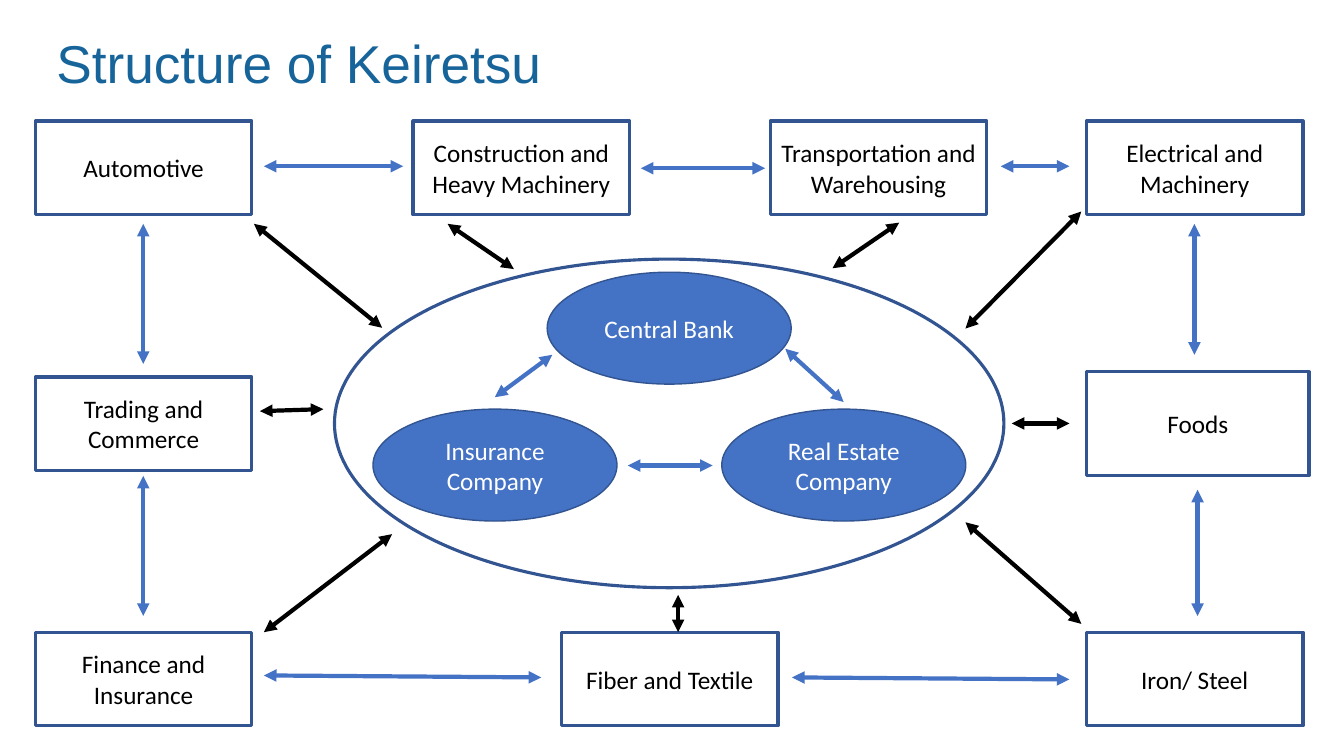
from typing import NamedTuple

from lxml import etree
from pptx import Presentation
from pptx import util as u
from pptx.dml.color import RGBColor
from pptx.enum import shapes, text
from pptx.oxml import ns

EDGE, BLUE, BLACK, WHITE, TEAL = "325491", "4472C4", "000000", "FFFFFF", "16649A"
RECT, OVAL = shapes.MSO_SHAPE.RECTANGLE, shapes.MSO_SHAPE.OVAL
LEFT, CONS, MID, TRANS, RIGHT = 0.89, 10.41, 14.15, 19.41, 27.38
TOP, HALF, LOW = 3.05, 9.5, 15.93


class Node(NamedTuple):
    label: str
    x: float
    y: float
    w: float = 5.46
    h: float = 2.36
    kind: int = RECT
    fill: str = ""
    ink: str = BLACK
    line: float = 2.25


class Link(NamedTuple):
    x1: float
    y1: float
    x2: float
    y2: float
    color: str = BLUE


def core(label: str, x: float, y: float) -> Node:
    return Node(label, x, y, 6.15, 2.82, OVAL, BLUE, WHITE, 1)


CORE = [
    core("Central Bank", 13.79, 6.86),
    core("Real Estate Company", 18.19, 10.31),
    core("Insurance Company", 9.4, 10.31),
    Node("", 8.43, 6.53, 16.87, 8.28, OVAL),
]

FIRMS = [
    Node("Electrical and Machinery", RIGHT, TOP),
    Node("Foods", RIGHT, 9.37, 5.61, 2.62),
    Node("Transportation and Warehousing", TRANS, TOP),
    Node("Construction and Heavy Machinery", CONS, TOP),
    Node("Automotive", LEFT, TOP),
    Node("Trading and Commerce", LEFT, HALF),
    Node("Finance and Insurance", LEFT, LOW),
    Node("Fiber and Textile", MID, LOW),
    Node("Iron/ Steel", RIGHT, LOW),
]

LINKS = [
    Link(15.82, 11.73, 17.96, 11.73),
    Link(19.79, 8.79, 21.26, 10.13),
    Link(13.92, 8.94, 12.47, 10.01),
    Link(19.96, 17.07, 26.95, 17.12),
    Link(6.65, 17.02, 13.64, 17.07),
    Link(6.65, 4.19, 10.16, 4.19),
    Link(16.15, 4.24, 19.28, 4.24),
    Link(25.22, 4.19, 26.95, 4.19),
    Link(3.61, 5.64, 3.61, 9.17),
    Link(30.18, 12.34, 30.18, 15.52),
    Link(3.61, 11.99, 3.61, 15.52),
    Link(30.1, 5.64, 30.1, 8.94),
    Link(9.63, 8.26, 6.4, 5.64, BLACK),
    Link(8.15, 10.31, 6.55, 10.36, BLACK),
    Link(26.95, 10.67, 25.5, 10.67, BLACK),
    Link(9.88, 13.46, 6.65, 15.93, BLACK),
    Link(24.33, 13.16, 27.25, 15.72, BLACK),
    Link(24.33, 8.28, 27.25, 5.33, BLACK),
    Link(17.09, 15.93, 17.09, 14.99, BLACK),
    Link(20.98, 6.76, 22.66, 5.61, BLACK),
    Link(12.95, 6.78, 11.28, 5.64, BLACK),
]


def put(thing, **form) -> None:
    for name, value in form.items():
        setattr(thing, name, value)


def tint(part, color: str) -> None:
    part.rgb = RGBColor.from_string(color)


def draw_node(slide, node: Node) -> None:
    box = slide.shapes.add_shape(
        node.kind, u.Cm(node.x), u.Cm(node.y), u.Cm(node.w), u.Cm(node.h))
    box.shadow.inherit = False
    if node.fill:
        box.fill.solid()
        tint(box.fill.fore_color, node.fill)
    else:
        box.fill.background()
    tint(box.line.color, EDGE)
    box.line.width = u.Pt(node.line)
    if node.label:
        frame = box.text_frame
        put(frame, word_wrap=True, vertical_anchor=text.MSO_ANCHOR.MIDDLE)
        para = frame.paragraphs[0]
        put(para, text=node.label, alignment=text.PP_ALIGN.CENTER)
        font = para.runs[0].font
        put(font, name="Calibri", size=u.Pt(18))
        tint(font.color, node.ink)


def draw_link(slide, link: Link) -> None:
    ends = [u.Cm(v) for v in (link.x1, link.y1, link.x2, link.y2)]
    wire = slide.shapes.add_connector(shapes.MSO_CONNECTOR.STRAIGHT, *ends)
    tint(wire.line.color, link.color)
    wire.line.width = u.Pt(3)
    line = wire.line._get_or_add_ln()
    for tag in ("a:headEnd", "a:tailEnd"):
        etree.SubElement(line, ns.qn(tag), type="triangle")
    etree.SubElement(wire._element.spPr, ns.qn("a:effectLst"))


def draw_title(slide) -> None:
    title = slide.shapes.title
    put(title, left=u.Cm(1.42), top=u.Cm(0.74), width=u.Cm(15.44), height=u.Cm(1.65))
    frame = title.text_frame
    put(frame, margin_left=0, margin_right=0, margin_top=u.Cm(0.03), margin_bottom=0,
        word_wrap=True, vertical_anchor=text.MSO_ANCHOR.TOP,
        auto_size=text.MSO_AUTO_SIZE.SHAPE_TO_FIT_TEXT)
    para = frame.paragraphs[0]
    put(para, text="Structure of Keiretsu", alignment=text.PP_ALIGN.LEFT)
    font = para.runs[0].font
    put(font, name="Arial", size=u.Pt(38))
    tint(font.color, TEAL)


def main() -> None:
    deck = Presentation()
    put(deck, slide_width=u.Cm(33.87), slide_height=u.Cm(19.05))
    slide = deck.slides.add_slide(deck.slide_layouts[5])
    draw_title(slide)
    for node in CORE + FIRMS:
        draw_node(slide, node)
    for link in LINKS:
        draw_link(slide, link)
    deck.save("out.pptx")


if __name__ == "__main__":
    main()
